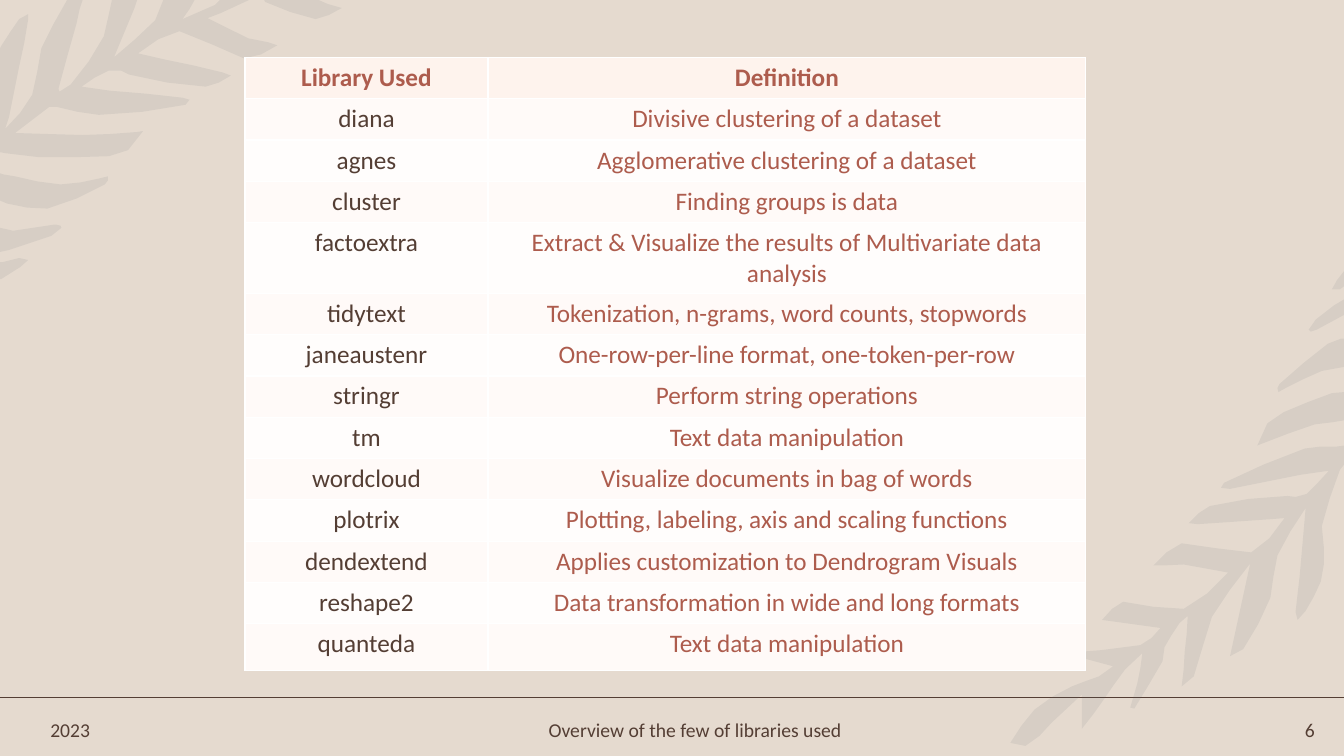
import math
from dataclasses import dataclass

from lxml import etree
from pptx import Presentation
from pptx import util as u
from pptx.dml.color import RGBColor
from pptx.enum import shapes, text
from pptx.oxml.ns import qn


@dataclass(frozen=True)
class Theme:
    font: str = "Calibri"
    body: int = 18
    small: int = 14
    back: str = "E5DACF"
    dark: str = "543E34"
    accent: str = "AD5C4D"
    leaf: str = "5D6A76"
    leaf_alpha: int = 10
    head: str = "FEF3ED"
    bands: tuple = ("FFFAF8", "FFFDFC")


T = Theme()
W, H = 13.33, 7.5

LIBRARIES = [
    ("Library Used", "Definition"),
    ("diana", "Divisive clustering of a dataset"),
    ("agnes", "Agglomerative clustering of a dataset"),
    ("cluster", "Finding groups is data"),
    ("factoextra", "Extract & Visualize the results of Multivariate data analysis"),
    ("tidytext", "Tokenization, n-grams, word counts, stopwords"),
    ("janeaustenr", "One-row-per-line format, one-token-per-row"),
    ("stringr", "Perform string operations"),
    ("tm", "Text data manipulation"),
    ("wordcloud", "Visualize documents in bag of words"),
    ("plotrix", "Plotting, labeling, axis and scaling functions"),
    ("dendextend", "Applies customization to Dendrogram Visuals"),
    ("reshape2", "Data transformation in wide and long formats"),
    ("quanteda", "Text data manipulation"),
]

# Leaf outlines: points in hundredths of an inch from the frond's origin
LEFT_FROND = [
    "19,256 28,258 20,265 1,277 0,277 0,260 3,260",
    "56,223 60,224 61,226 51,234 9,248 0,250 0,226 13,229 53,223",
    "0,172 3,173 15,175 60,183 99,177 107,175 107,179 104,183 47,207 7,202 0,199",
    "262,0 316,0 325,4 339,8 313,19 263,2",
    "66,0 82,0 79,9 76,23 58,88 59,91 70,84 103,36 108,14 111,0 136,0 133,9 "
    "113,57 154,20 162,0 193,0 188,9 181,19 213,5 218,0 247,0 232,7 206,18 "
    "246,38 266,42 275,45 242,58 178,31 137,53 163,59 221,72 229,75 204,86 "
    "128,74 120,70 108,70 81,86 109,90 181,97 188,99 184,104 98,114 56,106 "
    "49,106 15,132 82,134 136,131 142,130 127,149 108,155 39,156 5,152 0,151 "
    "0,48 1,46 19,19 28,14 28,19 19,66 9,116 5,128 32,94 41,48 66,1",
]
RIGHT_FROND = [
    "333,442 333,461 329,466 311,522 313,543 310,577 295,606 287,615 285,607 "
    "289,572 295,504 267,551 260,593 233,644 220,651 240,559 202,612 184,671 "
    "172,681 175,647 178,611 170,618 155,642 153,656 125,703 121,702 128,678 "
    "133,648 116,664 94,695 73,723 73,689 43,717 17,740 2,737 26,704 63,681 "
    "90,671 104,661 53,648 131,640 151,623 93,615 114,597 174,604 218,568 "
    "174,560 153,561 144,561 172,539 241,548 274,514 247,516 188,520 179,519 "
    "200,502 277,492 285,493 296,490 318,467 290,471 220,485 211,484 214,479 "
    "294,445 326,443",
    "333,389 333,417 321,419 304,421 252,440 247,442 257,420 273,409 321,390",
    "333,336 333,364 311,368 275,385 268,389 267,385 269,381 317,341 330,336",
    "333,297 333,313 332,313 306,327 300,329 298,327 305,317 323,303",
    "333,269 333,284 329,287 321,287 326,278",
]


def unit(a, b):
    d = math.dist(a, b) or 1
    return (b[0] - a[0]) / d, (b[1] - a[1]) / d


def smooth(pts, long_edge=25):
    """Bow the long edges of a closed outline, keeping sharp tips sharp."""
    n, out = len(pts), []

    def tangent(i, along):
        before, after = unit(pts[i - 1], pts[i]), unit(pts[i], pts[(i + 1) % n])
        if before[0] * after[0] + before[1] * after[1] < 0.5:
            return along
        return unit(pts[i - 1], pts[(i + 1) % n])

    for i, a in enumerate(pts):
        j = (i + 1) % n
        b, along, length = pts[j], unit(a, pts[j]), math.dist(a, pts[j])
        out.append(a)
        if length > long_edge:
            ta, tb = tangent(i, along), tangent(j, along)
            out.append(tuple((a[c] + b[c]) / 2 + length * (ta[c] - tb[c]) / 8
                             for c in (0, 1)))
    return out


def add_frond(s, x, y, leaves):
    fb = None
    for leaf in leaves:
        pts = [tuple(map(int, p.split(","))) for p in leaf.split()]
        outline = [(min(max(x * 100 + px, 0), W * 100), max(y * 100 + py, 0))
                   for px, py in smooth(pts)]
        if fb is None:
            fb = s.shapes.build_freeform(*outline[0], scale=u.Inches(0.01))
        else:
            fb.move_to(*outline[0])
        fb.add_line_segments(outline[1:], close=True)
    sp = fb.convert_to_shape()
    sp.shadow.inherit = False
    sp.line.fill.background()
    sp.fill.solid()
    sp.fill.fore_color.rgb = RGBColor.from_string(T.leaf)
    clr = sp._element.spPr.find(qn("a:solidFill"))[0]
    etree.SubElement(clr, qn("a:alpha")).set("val", str(T.leaf_alpha * 1000))


def style(p, size, color, align, bold=False):
    p.alignment = align
    for r in p.runs:
        f = r.font
        f.name, f.size, f.bold = T.font, u.Pt(size), bold
        f.color.rgb = RGBColor.from_string(color)


def add_footer_rule(s, y):
    ln = s.shapes.add_connector(shapes.MSO_CONNECTOR.STRAIGHT, 0, u.Inches(y),
                                u.Inches(W), u.Inches(y))
    ln.line.width = u.Pt(1.25)
    ln.line.color.rgb = RGBColor.from_string(T.dark)
    etree.SubElement(ln._element.spPr, qn("a:effectLst"))


def add_footer(s, y, h):
    al = text.PP_ALIGN
    for x, w, words, align in [(0.4, 1.08, "2023", al.LEFT),
                               (4.63, 4.53, "Overview of the few of libraries used", al.CENTER),
                               (12.06, 1.08, "6", al.RIGHT)]:
        tf = s.shapes.add_textbox(*map(u.Inches, (x, y, w, h))).text_frame
        tf.word_wrap = True
        tf.vertical_anchor = text.MSO_ANCHOR.MIDDLE
        tf.text = words
        style(tf.paragraphs[0], T.small, T.dark, align)


def add_library_table(s, x, y, cols, row_h, last_h):
    """The default table style supplies the white rules between cells."""
    heights = [row_h] * (len(LIBRARIES) - 1) + [last_h]
    box = map(u.Inches, (x, y, sum(cols), sum(heights)))
    tbl = s.shapes.add_table(len(heights), len(cols), *box).table
    for col, w in zip(tbl.columns, cols):
        col.width = u.Inches(w)
    for i, (row, h) in enumerate(zip(tbl.rows, heights)):
        row.height = u.Inches(h)
        for j, cell in enumerate(row.cells):
            cell.text = LIBRARIES[i][j]
            color = T.dark if i and j == 0 else T.accent
            style(cell.text_frame.paragraphs[0], T.body, color,
                  text.PP_ALIGN.CENTER, bold=i == 0)
            cell.fill.solid()
            fill = T.bands[(i - 1) % 2] if i else T.head
            cell.fill.fore_color.rgb = RGBColor.from_string(fill)


def main():
    prs = Presentation()
    prs.slide_width, prs.slide_height = u.Inches(W), u.Inches(H)
    s = prs.slides.add_slide(prs.slide_layouts[6])
    s.background.fill.solid()
    s.background.fill.fore_color.rgb = RGBColor.from_string(T.back)
    # Backdrop
    add_footer_rule(s, 6.92)
    add_frond(s, 0, 0, LEFT_FROND)
    add_frond(s, 10, 0, RIGHT_FROND)
    # Content
    add_footer(s, 7.07, 0.34)
    add_library_table(s, 2.43, 0.57, (2.41, 5.93), 0.41, 0.46)
    prs.save("out.pptx")


if __name__ == "__main__":
    main()
